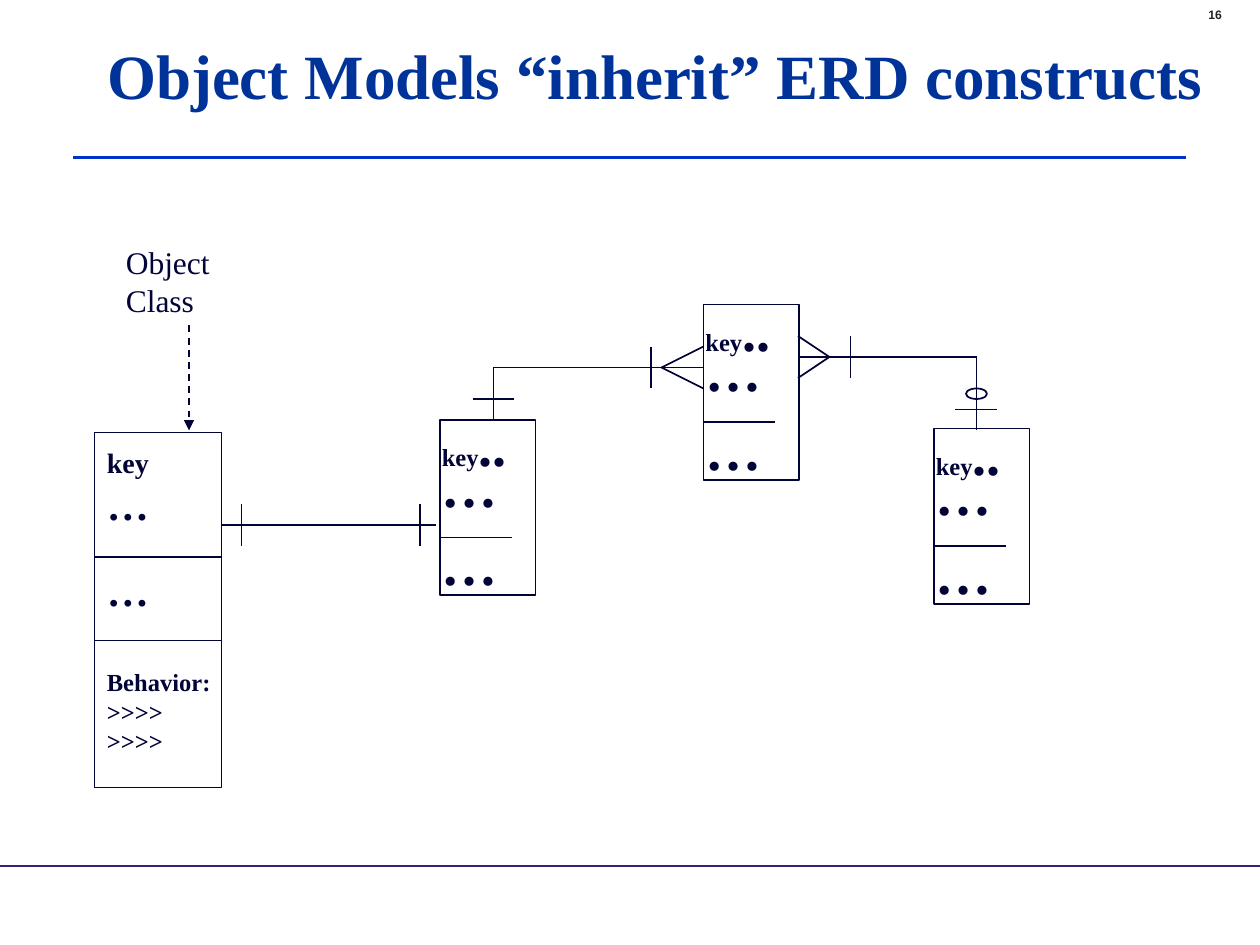
from dataclasses import dataclass
from lxml.etree import SubElement as Sub
from pptx import Presentation as Deck
from pptx.dml.color import RGBColor as Rgb
from pptx.enum.dml import MSO_LINE as Dash
from pptx.enum.shapes import MSO_CONNECTOR as Conn, MSO_SHAPE as Kind
from pptx.enum.text import MSO_ANCHOR as Anchor, PP_ALIGN as Align
from pptx.oxml.ns import qn
from pptx.util import Inches, Pt


@dataclass(frozen=True)
class Theme:
    """Colours, fonts and type sizes of the slide."""
    ink: str = "020336"
    title: str = "003399"
    rule: str = "0033CC"
    foot: str = "3A2173"
    page: str = "232323"
    serif: str = "Times New Roman"
    sans: str = "Arial"
    head: int = 36
    dots: int = 32
    mid: int = 24
    label: int = 18
    key: int = 16
    small: int = 14
    tiny: int = 7


T = Theme()
COLS, ROWS = 120, 90
WIDE, HIGH = Inches(10), Inches(7.5)


def spot(x, y):
    """Turn columns and rows of the grid into slide lengths."""
    return round(x * WIDE / COLS), round(y * HIGH / ROWS)


def write(frame, paras, font=T.serif, color=T.ink, bold=True, lead=None, anchor=Anchor.TOP):
    """Fill a frame with paragraphs, each a gap before and its (text, size) runs."""
    frame.word_wrap = True
    frame.vertical_anchor = anchor
    for i, (gap, *runs) in enumerate(paras):
        para = frame.add_paragraph() if i else frame.paragraphs[0]
        para.alignment = Align.LEFT
        para.space_before = Pt(gap)
        if lead:
            para.line_spacing = lead
        for words, size in runs:
            run = para.add_run()
            run.text = words
            run.font.name, run.font.size, run.font.bold = font, Pt(size), bold
            run.font.color.rgb = Rgb.from_string(color)


def label(slide, box, paras, **form):
    """Add a text box on the grid."""
    x, y, w, h = box
    area = slide.shapes.add_textbox(*spot(x, y), *spot(w, h))
    write(area.text_frame, paras, **form)


def line(slide, x1, y1, x2, y2, color=T.ink, width=1, arrow=False):
    """Draw a straight line on the grid, dashed with a head if it is an arrow."""
    link = slide.shapes.add_connector(Conn.STRAIGHT, *spot(x1, y1), *spot(x2, y2))
    link.line.color.rgb = Rgb.from_string(color)
    link.line.width = Pt(width)
    if arrow:
        link.line.dash_style = Dash.DASH
        Sub(link.line._get_or_add_ln(), qn("a:tailEnd"), type="triangle")
    Sub(link._element.spPr, qn("a:effectLst"))


def frame(slide, kind, box):
    """Draw an unfilled outline on the grid."""
    x, y, w, h = box
    form = slide.shapes.add_shape(kind, *spot(x, y), *spot(w, h))
    form.shadow.inherit = False
    form.fill.background()
    form.line.color.rgb = Rgb.from_string(T.ink)
    form.line.width = Pt(1)


def head(slide, box):
    """Place the title, its rule and the page number."""
    x, y, w, h = box
    title = slide.shapes.title
    title.left, title.top = spot(x, y)
    title.width, title.height = spot(w, h)
    write(title.text_frame, [(0, ("Object Models “inherit” ERD constructs", T.head))],
          color=T.title, lead=Pt(38), anchor=Anchor.MIDDLE)
    line(slide, x - 2, y + h, x + w - 4, y + h, color=T.rule, width=2.25)
    label(slide, (x + w - 3.1, y + 0.1, 8, 2.6), [(0, ("16", T.tiny))],
          font=T.sans, color=T.page)


def model(slide, box):
    """Draw the object class with key, attribute and behavior parts."""
    x, y, w, h = box
    frame(slide, Kind.RECTANGLE, box)
    label(slide, (x, y + 0.6, w + 1, h * 0.9), [
        (0, ("key", T.key)), (0, ("…", T.mid)), (20.5, ("…", T.mid)),
        (29.7, ("Behavior:", T.small)), (0, (">>>>", T.small)), (0, (">>>>", T.small))])
    for share in (0.35, 0.586):
        line(slide, x, y + h * share, x + w, y + h * share)
    label(slide, (x + 1.8, y - 18.6, w, 8.4),
          [(0, ("Object", T.label)), (0, ("Class", T.label))], bold=False)
    line(slide, x + 9, y - 10.2, x + 9, y - 0.2, arrow=True)


def entity(slide, box):
    """Draw an entity with its key and attribute dots."""
    x, y, w, h = box
    frame(slide, Kind.RECTANGLE, box)
    line(slide, x, y + h * 0.67, x + w * 0.75, y + h * 0.67)
    label(slide, (x - 1, y + 0.8, w + 0.4, h), [
        (0, ("key", T.small), ("..", T.dots)), (0, ("…", T.dots)),
        (22, ("…", T.dots))], lead=0.6)


def bar(slide, x, y, flat=False):
    """Draw a cardinality bar centred on a point."""
    dx, dy = (2, 0) if flat else (0, 2)
    line(slide, x - dx, y - dy, x + dx, y + dy)


def bend(slide, start, end, foot, fork):
    """Draw a link from an entity side, with crow's foot and bars, down to another."""
    (x, y), (far, low) = start, end
    way = 1 if far > x else -1
    line(slide, x, y, far, y)
    line(slide, far, y, far, low)
    for dy in (-2, 2):
        line(slide, x + way * fork, y, x, y + dy)
    bar(slide, x + way * 5, y)
    bar(slide, far, foot, flat=True)


def links(slide):
    """Draw the three relations between the boxes."""
    line(slide, 21, 50, 41.5, 50)
    for x in (23, 40):
        bar(slide, x, 50)
    bend(slide, (67, 35), (47, 40), foot=38, fork=4)
    bend(slide, (76, 34), (93, 41), foot=39, fork=3)
    frame(slide, Kind.OVAL, (92, 37, 2, 1))


def main():
    """Build and save the slide."""
    deck = Deck()
    deck.slide_width, deck.slide_height = WIDE, HIGH
    slide = deck.slides.add_slide(deck.slide_layouts[5])
    line(slide, 0, 82.45, COLS, 82.45, color=T.foot)
    head(slide, (9, 0, 108, 15))
    model(slide, (9, 41.2, 12.1, 33.8))
    for x, y in ((41.9, 40), (67, 29), (88.95, 40.8)):
        entity(slide, (x, y, 9.1, 16.7))
    links(slide)
    deck.save("out.pptx")


if __name__ == "__main__":
    main()
